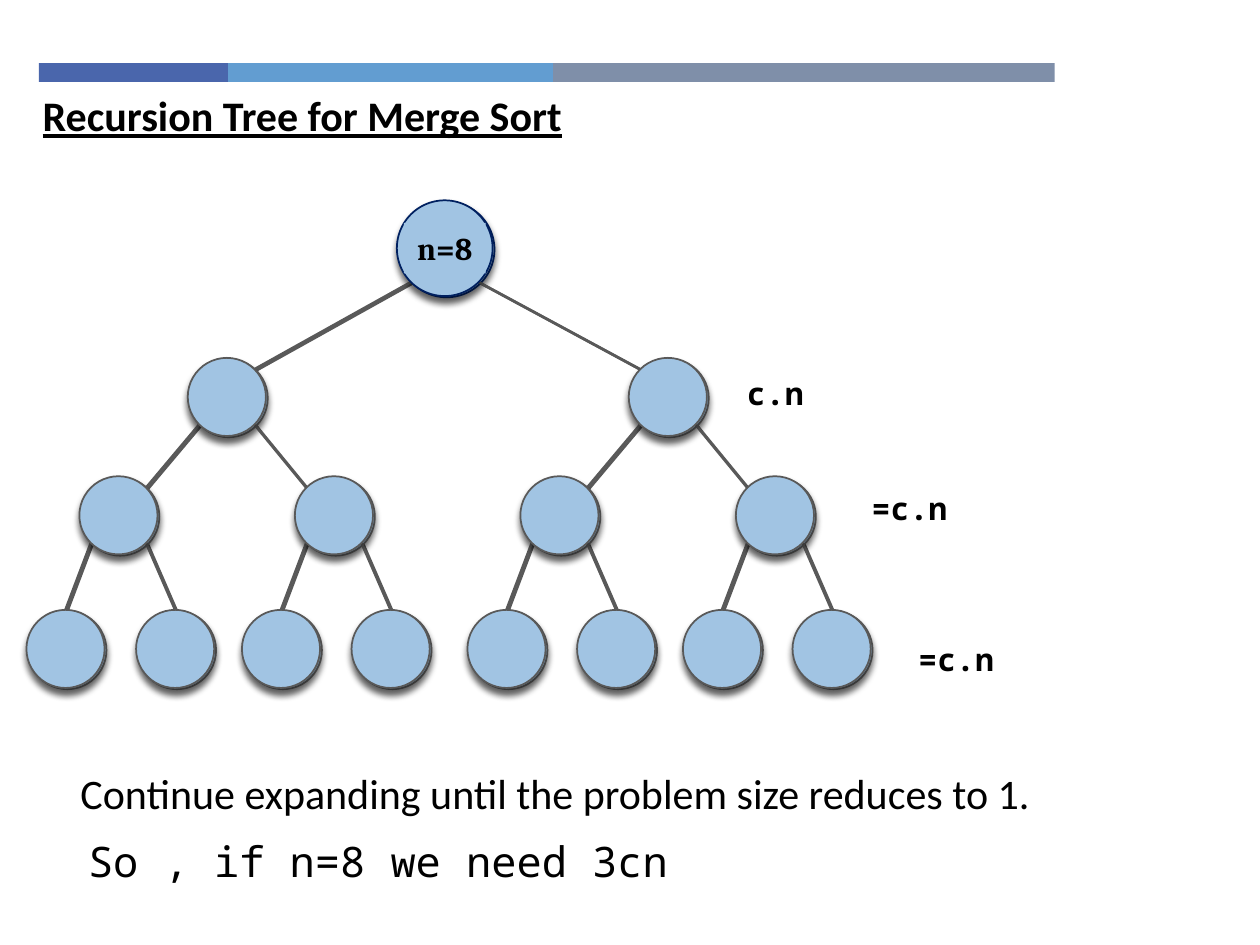
"""Build the merge sort recursion tree slide on a grid of 100 columns by 75 rows."""
import math
from dataclasses import dataclass

from lxml import etree
from pptx import Presentation
from pptx import util as u
from pptx.dml.color import RGBColor
from pptx.enum import shapes, text
from pptx.oxml import parse_xml
from pptx.oxml.ns import nsdecls, qn

CELL = 0.1
COLS, ROWS = 100, 75


@dataclass(frozen=True)
class Theme:
    bars: tuple = ("4A66AC", "629DD1", "7F8FA9")
    node: str = "A1C4E3"
    edge: str = "595959"
    root: str = "002060"
    ink: str = "000000"
    sans: str = "Calibri"
    serif: str = "Cambria"
    mono: str = "Noto Sans Mono"
    large: int = 24
    small: int = 18
    outline: float = 1
    edge_width: float = 1.5


def grid(n):
    return u.Inches(n * CELL)


def rgb(code):
    return RGBColor.from_string(code)


class Board:
    def __init__(self, slide, theme):
        self.s, self.t = slide, theme

    def shape(self, kind, x, y, w, h, fill, line=None):
        sp = self.s.shapes.add_shape(kind, *map(grid, (x, y, w, h)))
        sp.shadow.inherit = False
        sp.fill.solid()
        sp.fill.fore_color.rgb = rgb(fill)
        if line:
            sp.line.color.rgb = rgb(line)
            sp.line.width = u.Pt(self.t.outline)
        else:
            sp.line.fill.background()
        return sp

    def bar(self, x, y, w, h, fill):
        return self.shape(shapes.MSO_SHAPE.RECTANGLE, x, y, w, h, fill)

    def node(self, cx, cy, r, line):
        sp = self.shape(shapes.MSO_SHAPE.OVAL, cx - r, cy - r, 2 * r, 2 * r,
                        self.t.node, line)
        effects = sp._element.spPr.find(qn("a:effectLst"))
        effects.append(parse_xml(
            f'<a:outerShdw {nsdecls("a")} blurRad="{u.Pt(4)}" dist="{u.Pt(3)}" '
            f'dir="5400000" rotWithShape="0"><a:srgbClr val="{self.t.ink}">'
            '<a:alpha val="40000"/></a:srgbClr></a:outerShdw>'))

    def edge(self, x1, y1, x2, y2):
        cn = self.s.shapes.add_connector(
            shapes.MSO_CONNECTOR.STRAIGHT, *map(grid, (x1, y1, x2, y2)))
        cn.line.color.rgb = rgb(self.t.edge)
        cn.line.width = u.Pt(self.t.edge_width)
        etree.SubElement(cn._element.spPr, qn("a:effectLst"))

    def add_words(self, sp, words, font, size, bold=False, underline=False):
        p = sp.text_frame.paragraphs[0]
        r = p.add_run()
        r.text = words
        r.font.name, r.font.size = font, u.Pt(size)
        r.font.bold, r.font.underline = bold, underline
        r.font.color.rgb = rgb(self.t.ink)
        return p

    def label(self, x, y, w, h, words, font, size, **style):
        sp = self.s.shapes.add_textbox(*map(grid, (x, y, w, h)))
        sp.text_frame.word_wrap = True
        self.add_words(sp, words, font, size, **style)

    def badge(self, cx, cy, w, h, words):
        sp = self.bar(cx - w / 2, cy - h / 2, w, h, self.t.node)
        sp.text_frame.word_wrap = False
        sp.text_frame.vertical_anchor = text.MSO_ANCHOR.MIDDLE
        p = self.add_words(sp, words, self.t.serif, self.t.small, bold=True)
        p.alignment = text.PP_ALIGN.CENTER

    def tree(self, cx, dx, dy, level=0):
        cy, r = LEVEL_ROWS[level] + dy, RADII[level]
        if level < len(SPREADS):
            reach, leaf = r * math.sqrt(0.5), level + 1 == len(SPREADS)
            child_r = RADII[level + 1]
            child_reach = child_r * math.sqrt(0.5)
            child_y = LEVEL_ROWS[level + 1] + dy
            for side, spread in zip((-1, 1), SPREADS[level]):
                child_x = cx + side * spread
                end = ((child_x + dx, child_y - child_r) if leaf else
                       (child_x + dx - side * child_reach, child_y - child_reach))
                self.edge(cx + dx + side * reach, cy + reach, *end)
                self.tree(child_x, dx, dy, level + 1)
        self.node(cx + dx, cy, r, self.t.edge if level else self.t.root)


ROOT_COL = 35.3
LEVEL_ROWS = (19.7, 31.5, 40.9, 51.5)
RADII = (3.8, 3.1, 3.1, 3.1)
SPREADS = ((17.3, 17.7), (8.6, 8.5), (4.2, 4.5))
LAYERS = ((0.15, 0.1), (0, 0))
COSTS = ((58.3, 29.2, 7.2, "c.n"), (68.2, 38.3, 17.2, "=c.n"),
         (71.9, 50.3, 17.2, "=c.n"))


def main():
    prs = Presentation()
    prs.slide_width, prs.slide_height = grid(COLS), grid(ROWS)
    theme = Theme()
    board = Board(prs.slides.add_slide(prs.slide_layouts[6]), theme)

    x = 3.1
    for width, fill in zip((15, 25.8, 39.8), theme.bars):
        board.bar(x, 5, width, 1.5, fill)
        x += width
    board.label(2.4, 6.6, 47.6, 4.6, "Recursion Tree for Merge Sort",
                theme.sans, theme.large, bold=True, underline=True)

    for dx, dy in LAYERS:
        board.tree(ROOT_COL, dx, dy)
    board.badge(ROOT_COL, LEVEL_ROWS[0], 6.5, 4, "n=8")
    for x, y, width, cost in COSTS:
        board.label(x, y, width, 4, cost, theme.mono, theme.small, bold=True)

    board.label(6, 65.8, 58.5, 5, "So , if n=8 we need 3cn",
                theme.mono, theme.large)
    board.label(5.4, 60.4, 87, 5,
                "Continue expanding until the problem size reduces to 1.",
                theme.sans, theme.large)
    prs.save("out.pptx")


if __name__ == "__main__":
    main()
